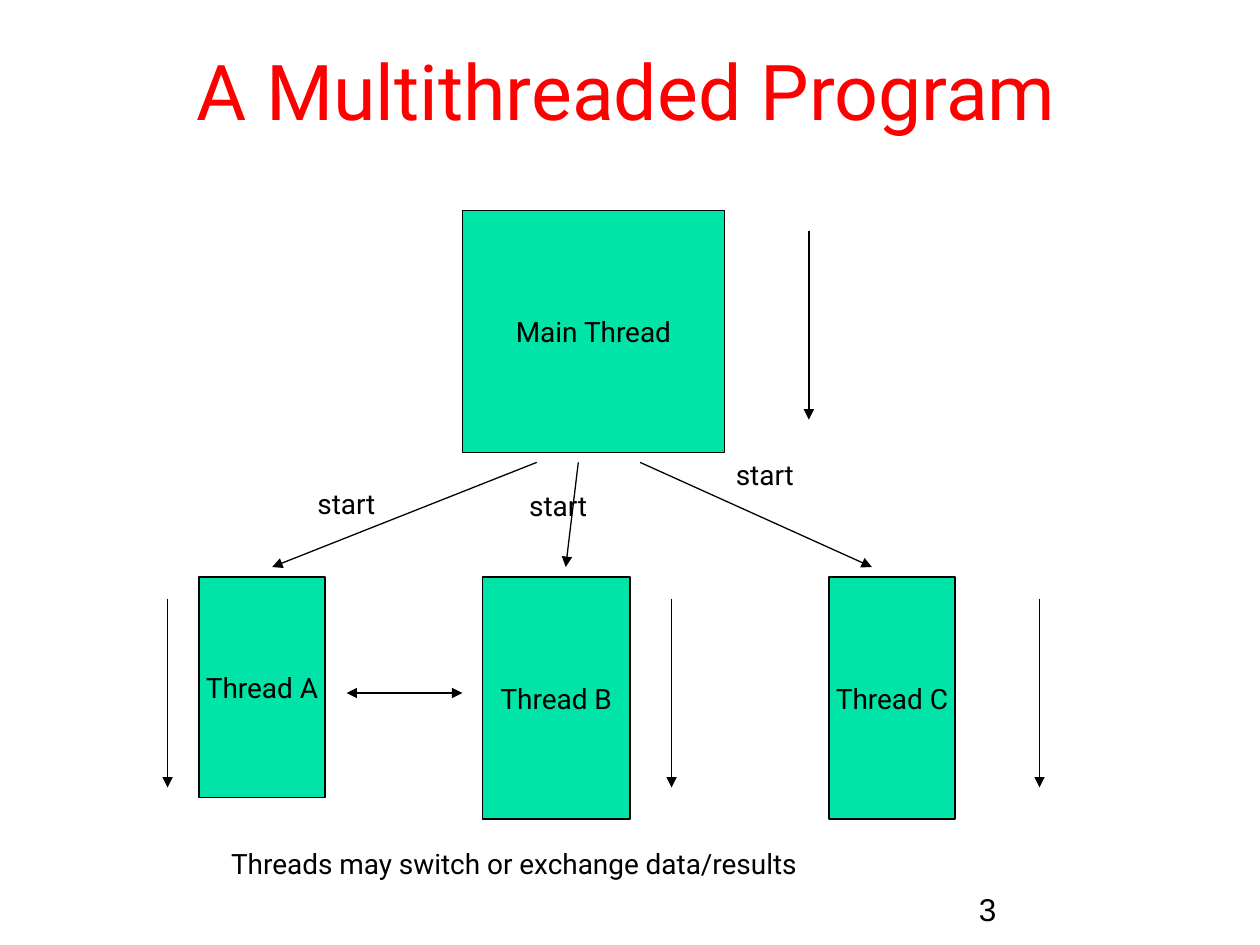
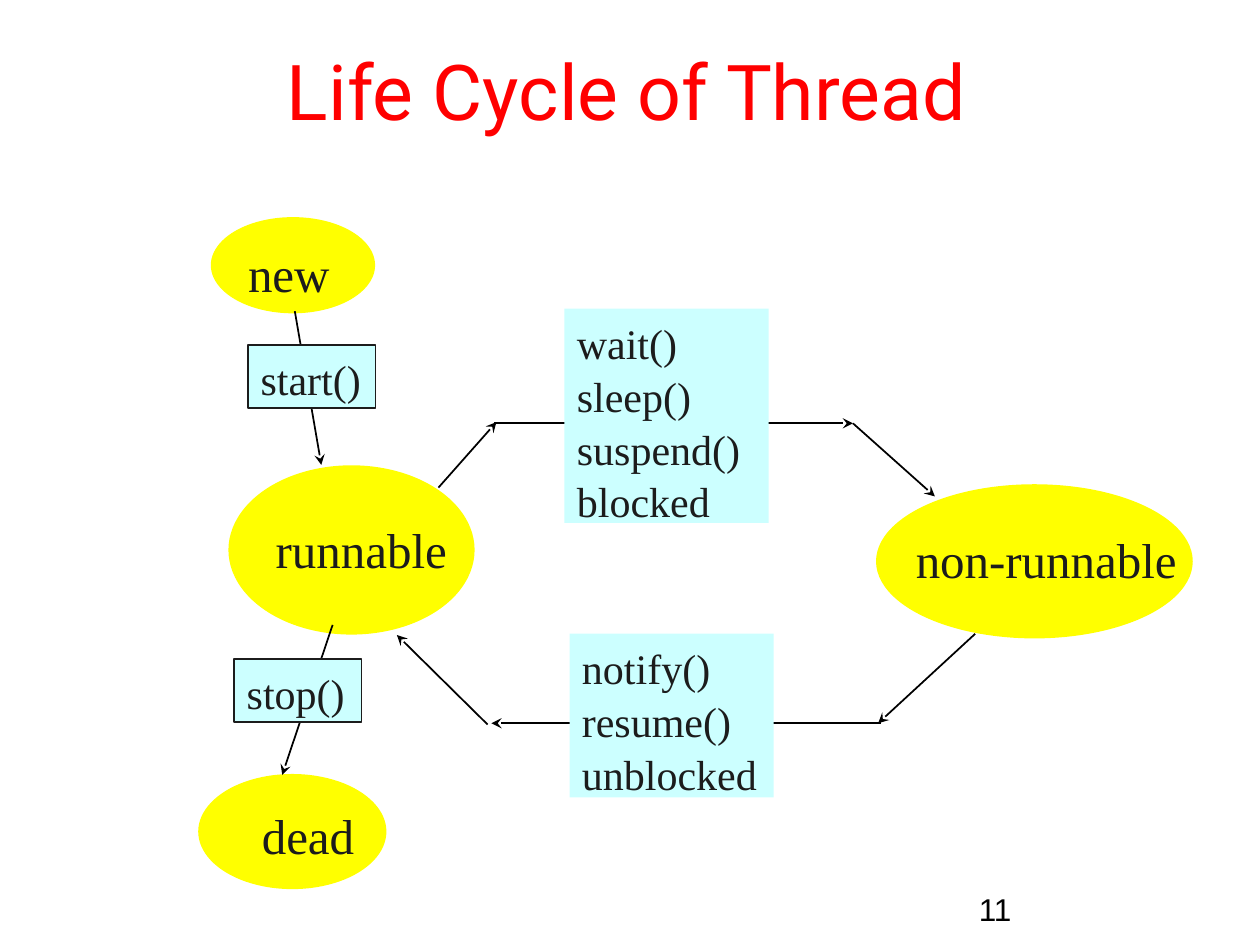
from pptx import Presentation
from pptx.dml.color import RGBColor
from pptx.enum.shapes import MSO_CONNECTOR, MSO_SHAPE
from pptx.enum.text import MSO_ANCHOR, PP_ALIGN
from pptx.oxml.ns import qn
from pptx.util import Inches, Pt
from lxml.etree import SubElement

BLACK = RGBColor(0x00, 0x00, 0x00)
INK = RGBColor(0x1C, 0x1C, 0x1C)
RED = RGBColor(0xFF, 0x00, 0x00)
GREEN = RGBColor(0x00, 0xE4, 0xA8)
YELLOW = RGBColor(0xFF, 0xFF, 0x00)
CYAN = RGBColor(0xCC, 0xFF, 0xFF)

MIDDLE = {"vertical_anchor": MSO_ANCHOR.MIDDLE}
CENTER = {"alignment": PP_ALIGN.CENTER}
LEFT = {"alignment": PP_ALIGN.LEFT}
CODE = {"alignment": PP_ALIGN.LEFT, "line_spacing": 1.05}

# Each style: frame, paragraph and font values, then the text colour
TITLE = ({"word_wrap": True, **MIDDLE}, CENTER, {"name": "Roboto", "size": Pt(44)}, RED)
NUMBER = ({"word_wrap": True, "vertical_anchor": MSO_ANCHOR.BOTTOM}, LEFT,
          {"name": "Arial", "size": Pt(18)}, BLACK)
LABEL = ({"word_wrap": False}, CENTER, {"name": "Roboto", "size": Pt(16)}, BLACK)
THREAD = ({"word_wrap": False, **MIDDLE}, *LABEL[1:])
STATE = ({"word_wrap": False}, CODE, {"name": "Times New Roman", "size": Pt(28)}, INK)
CALL = ({"word_wrap": True, "vertical_anchor": MSO_ANCHOR.TOP}, CODE,
        {"name": "Times New Roman", "size": Pt(24)}, INK)


def set_all(target, values):
    for name, value in values.items():
        setattr(target, name, value)


def write(shape, text, style):
    """Put the lines of text in a shape, one paragraph each."""
    box, para, font, color = style
    frame = shape.text_frame
    set_all(frame, box)
    for i, line in enumerate(text.split("\n")):
        item = frame.add_paragraph() if i else frame.paragraphs[0]
        set_all(item, para)
        run = item.add_run()
        run.text = line
        set_all(run.font, font)
        run.font.color.rgb = color


def add_text(slide, at, text, style):
    write(slide.shapes.add_textbox(*map(Inches, at)), text, style)


def add_form(slide, kind, at, fill, edge=None, width=1):
    form = slide.shapes.add_shape(kind, *map(Inches, at))
    form.shadow.inherit = False
    form.fill.solid()
    form.fill.fore_color.rgb = fill
    if edge is None:
        form.line.fill.background()
    else:
        form.line.color.rgb = edge
        form.line.width = Pt(width)
    return form


def add_box(slide, at, text, style, fill, edge=None, width=1):
    write(add_form(slide, MSO_SHAPE.RECTANGLE, at, fill, edge, width), text, style)


def add_arrow(slide, start, end, width, tip, ends=("tailEnd",)):
    line = slide.shapes.add_connector(MSO_CONNECTOR.STRAIGHT, *map(Inches, start + end))
    line.line.color.rgb = BLACK
    line.line.width = Pt(width)
    for name in ends:
        SubElement(line.line._get_or_add_ln(), qn(f"a:{name}"), type=tip)
    SubElement(line._element.spPr, qn("a:effectLst"))


def add_page(deck, title, number):
    slide = deck.slides.add_slide(deck.slide_layouts[6])
    add_text(slide, (7.67, 6.92, 2.08, 0.49), number, NUMBER)
    add_text(slide, (0.17, 0.17, 9.61, 1.08), title, TITLE)
    return slide


def draw_threads(deck):
    slide = add_page(deck, "A Multithreaded Program", "3")
    for text, at in (
        ("Main Thread", (3.67, 1.67, 2.08, 1.92)),
        ("Thread A", (1.58, 4.58, 1, 1.75)),
        ("Thread B", (3.83, 4.58, 1.17, 1.92)),
        ("Thread C", (6.58, 4.58, 1, 1.92)),
    ):
        add_box(slide, at, text, THREAD, GREEN, BLACK, 0.75)
    for x, end, left, top in (
        (4.26, 2.16, 2.41, 3.81),
        (4.59, 4.49, 4.09, 3.83),
        (5.08, 6.92, 5.73, 3.58),
    ):
        add_arrow(slide, (x, 3.67), (end, 4.5), 0.75, "triangle")
        add_text(slide, (left, top, 0.68, 0.37), "start", LABEL)
    for x, y in ((6.42, 1.83), (8.25, 4.75), (5.33, 4.75), (1.33, 4.75)):
        add_arrow(slide, (x, y), (x, y + 1.5), 0.75, "triangle")
    add_arrow(slide, (2.75, 5.5), (3.67, 5.5), 0.75, "triangle", ("headEnd", "tailEnd"))
    add_text(slide, (1.62, 6.67, 4.92, 0.37),
             "Threads may switch or exchange data/results", LABEL)


def draw_cycle(deck):
    slide = add_page(deck, "Life Cycle of Thread", "11")
    for text, oval, label in (
        ("new", (1.68, 1.73, 1.29, 0.75), (1.87, 1.86, 0.85, 0.57)),
        ("non-runnable", (6.96, 3.85, 2.5, 1.21), (7.17, 4.13, 2.27, 0.57)),
        ("dead", (1.58, 6.15, 1.48, 0.9), (1.98, 6.32, 0.94, 0.57)),
        ("runnable", (1.82, 3.7, 1.94, 1.33), (2.09, 4.05, 1.56, 0.57)),
    ):
        add_form(slide, MSO_SHAPE.OVAL, oval, YELLOW, YELLOW)
        add_text(slide, label, text, STATE)
    for start, end in (
        ((3.48, 3.87), (3.94, 3.35)),
        ((3.92, 3.36), (6.77, 3.36)),
        ((6.77, 3.36), (7.42, 3.94)),
        ((2.34, 2.47), (2.55, 3.69)),
        ((2.64, 4.96), (2.24, 6.15)),
        ((3.87, 5.75), (3.15, 5.04)),
        ((6.99, 5.74), (3.9, 5.74)),
        ((7.74, 5.03), (6.97, 5.74)),
    ):
        add_arrow(slide, start, end, 1, "stealth")
    for text, at, edge in (
        ("wait()\nsleep()\nsuspend()\nblocked", (4.48, 2.45, 1.62, 1.7), None),
        ("notify()\nresume()\nunblocked", (4.52, 5.03, 1.62, 1.3), None),
        ("start()", (1.97, 2.74, 1.01, 0.5), INK),
        ("stop()", (1.86, 5.23, 1.01, 0.5), INK),
    ):
        add_box(slide, at, text, CALL, CYAN, edge)


def main():
    deck = Presentation()
    deck.slide_width, deck.slide_height = Inches(10), Inches(7.5)
    draw_threads(deck)
    draw_cycle(deck)
    deck.save("out.pptx")


if __name__ == "__main__":
    main()
